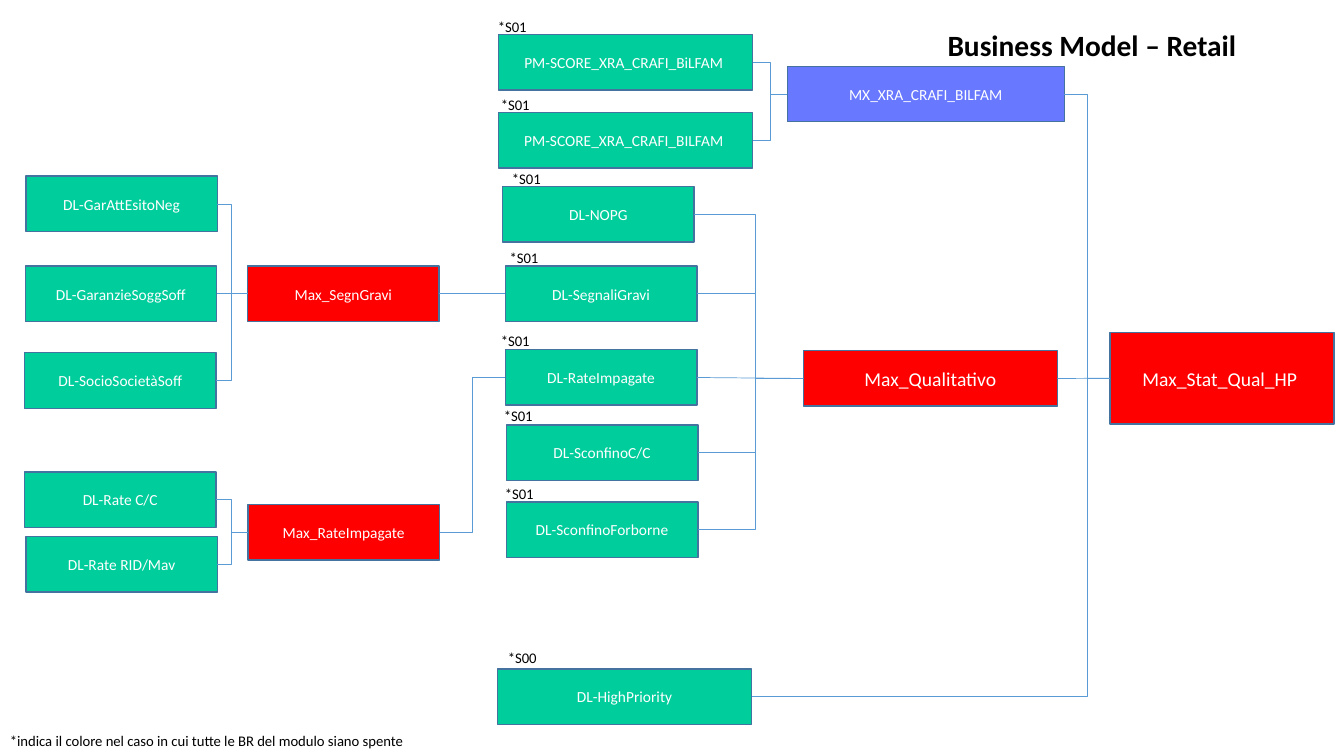
from lxml import etree
from pptx import Presentation
from pptx.dml.color import RGBColor
from pptx.enum.shapes import MSO_CONNECTOR, MSO_SHAPE
from pptx.enum.text import MSO_ANCHOR, MSO_AUTO_SIZE, PP_ALIGN
from pptx.oxml.ns import qn
from pptx.util import Inches, Pt

RECT = MSO_SHAPE.RECTANGLE
BENT, LINE = MSO_CONNECTOR.ELBOW, MSO_CONNECTOR.STRAIGHT
MID, TOP, BASE = MSO_ANCHOR.MIDDLE, MSO_ANCHOR.TOP, MSO_ANCHOR.BOTTOM
MIDDLE, LEFT = PP_ALIGN.CENTER, PP_ALIGN.LEFT
FIXED = MSO_AUTO_SIZE.NONE
GREEN, RED, BLUE = "00CD9C", "FF0000", "6879FF"
EDGE, WIRE, BLACK, WHITE = "43739E", "5B9BD5", "000000", "FFFFFF"
BOX_W, WIDE, TALL = 5.7, 7.56, 2.2
TAG_W = 3.9

deck = Presentation()
deck.slide_width, deck.slide_height = Inches(13.33), Inches(7.5)
col, row = deck.slide_width / 40, deck.slide_height / 30
slide = deck.slides.add_slide(deck.slide_layouts[5])
shapes = slide.shapes


def color(code):
    return RGBColor.from_string(code)


def write(shape, text, size, code, align, anchor, bold=False):
    frame = shape.text_frame
    frame.word_wrap = True
    frame.auto_size = FIXED
    frame.vertical_anchor = anchor
    par = frame.paragraphs[0]
    par.alignment = align
    run = par.add_run()
    run.text = text
    font = run.font
    font.name, font.size, font.bold = "Calibri", Pt(size), bold
    font.color.rgb = color(code)


title = shapes.title
title.left, title.top = int(27.9 * col), int(0.32 * row)
title.width, title.height = int(11.07 * col), int(2.36 * row)
write(title, "Business Model – Retail", 21, BLACK, LEFT, BASE, True)

boxes = [
    ("DL-GarAttEsitoNeg", 0.77, 6.99, BOX_W, TALL, GREEN, 11),
    ("DL-GaranzieSoggSoff", 0.75, 10.56, BOX_W, TALL, GREEN, 11),
    ("DL-SocioSocietàSoff", 0.73, 14, BOX_W, TALL, GREEN, 11),
    ("DL-Rate C/C", 0.73, 18.73, BOX_W, TALL, GREEN, 11),
    ("DL-Rate RID/Mav", 0.77, 21.3, BOX_W, TALL, GREEN, 11),
    ("Max_SegnGravi", 7.37, 10.56, BOX_W, TALL, RED, 11),
    ("Max_RateImpagate", 7.38, 20.02, BOX_W, TALL, RED, 11),
    ("PM-SCORE_XRA_CRAFI_BiLFAM ", 14.84, 1.38, WIDE, TALL, GREEN, 11),
    ("PM-SCORE_XRA_CRAFI_BILFAM ", 14.84, 4.47, WIDE, TALL, GREEN, 11),
    ("DL-NOPG", 14.96, 7.41, BOX_W, TALL, GREEN, 11),
    ("DL-SegnaliGravi", 15.04, 10.56, BOX_W, TALL, GREEN, 11),
    ("DL-RateImpagate", 15.04, 13.88, BOX_W, TALL, GREEN, 11),
    ("DL-SconfinoC/C", 15.07, 16.86, BOX_W, TALL, GREEN, 11),
    ("DL-SconfinoForborne", 15.07, 19.92, BOX_W, TALL, GREEN, 11),
    ("DL-HighPriority", 14.81, 26.54, WIDE, TALL, GREEN, 11),
    ("MX_XRA_CRAFI_BILFAM", 23.43, 2.63, 8.25, TALL, BLUE, 11),
    ("Max_Qualitativo", 23.91, 13.92, WIDE, TALL, RED, 14),
    ("Max_Stat_Qual_HP ", 33.04, 13.19, 6.66, 3.64, RED, 14),
]
nodes = {}
for name, x, y, w, h, fill, size in boxes:
    box = shapes.add_shape(RECT, int(x * col), int(y * row), int(w * col), int(h * row))
    box.shadow.inherit = False
    box.fill.solid()
    box.fill.fore_color.rgb = color(fill)
    box.line.color.rgb = color(EDGE)
    box.line.width = Pt(1)
    write(box, name, size, WHITE, MIDDLE, MID)
    nodes[name.strip()] = box

wires = [
    ("Max_SegnGravi", 6.9, ["DL-GarAttEsitoNeg", "DL-SocioSocietàSoff"]),
    ("Max_SegnGravi", None, ["DL-GaranzieSoggSoff"]),
    ("Max_RateImpagate", 6.9, ["DL-Rate C/C", "DL-Rate RID/Mav"]),
    ("DL-RateImpagate", 14.07, ["Max_RateImpagate"]),
    ("DL-SegnaliGravi", None, ["Max_SegnGravi"]),
    ("MX_XRA_CRAFI_BILFAM", 22.92, ["PM-SCORE_XRA_CRAFI_BiLFAM", "PM-SCORE_XRA_CRAFI_BILFAM"]),
    ("Max_Qualitativo", 22.47, ["DL-NOPG", "DL-SegnaliGravi", "DL-SconfinoC/C", "DL-SconfinoForborne"]),
    ("Max_Qualitativo", None, ["DL-RateImpagate"]),
    ("Max_Stat_Qual_HP", 32.37, ["MX_XRA_CRAFI_BILFAM", "DL-HighPriority"]),
    ("Max_Stat_Qual_HP", None, ["Max_Qualitativo"]),
]
for goal, bend, starts in wires:
    for start in starts:
        wire = shapes.add_connector(BENT if bend else LINE, 0, 0, 0, 0)
        wire.begin_connect(nodes[start], 3)
        wire.end_connect(nodes[goal], 1)
        wire.line.color.rgb = color(WIRE)
        wire.line.width = Pt(0.5)
        props = wire._element.spPr
        etree.SubElement(props, qn("a:effectLst"))
        if bend:
            share = (bend * col - wire.begin_x) / (wire.end_x - wire.begin_x)
            guides = props.find(qn("a:prstGeom")).find(qn("a:avLst"))
            etree.SubElement(guides, qn("a:gd"), name="adj1", fmla=f"val {round(share * 100000)}")

tags = [
    ("*S01 ", 14.52, 0.5, TAG_W),
    ("*S01 ", 14.61, 3.6, TAG_W),
    ("*S01 ", 14.94, 6.56, TAG_W),
    ("*S01 ", 14.87, 9.68, TAG_W),
    ("*S01 ", 14.61, 12.96, TAG_W),
    ("*S01 ", 14.7, 15.96, TAG_W),
    ("*S01 ", 14.73, 19.06, TAG_W),
    ("*S00 ", 14.82, 25.54, TAG_W),
    ("*indica il colore nel caso in cui tutte le BR del modulo siano spente ", 0, 28.84, 12.96),
]
for text, x, y, w in tags:
    tag = shapes.add_textbox(int(x * col), int(y * row), int(w * col), int(1.14 * row))
    write(tag, text, 10.5, BLACK, LEFT, TOP)

deck.save("out.pptx")
